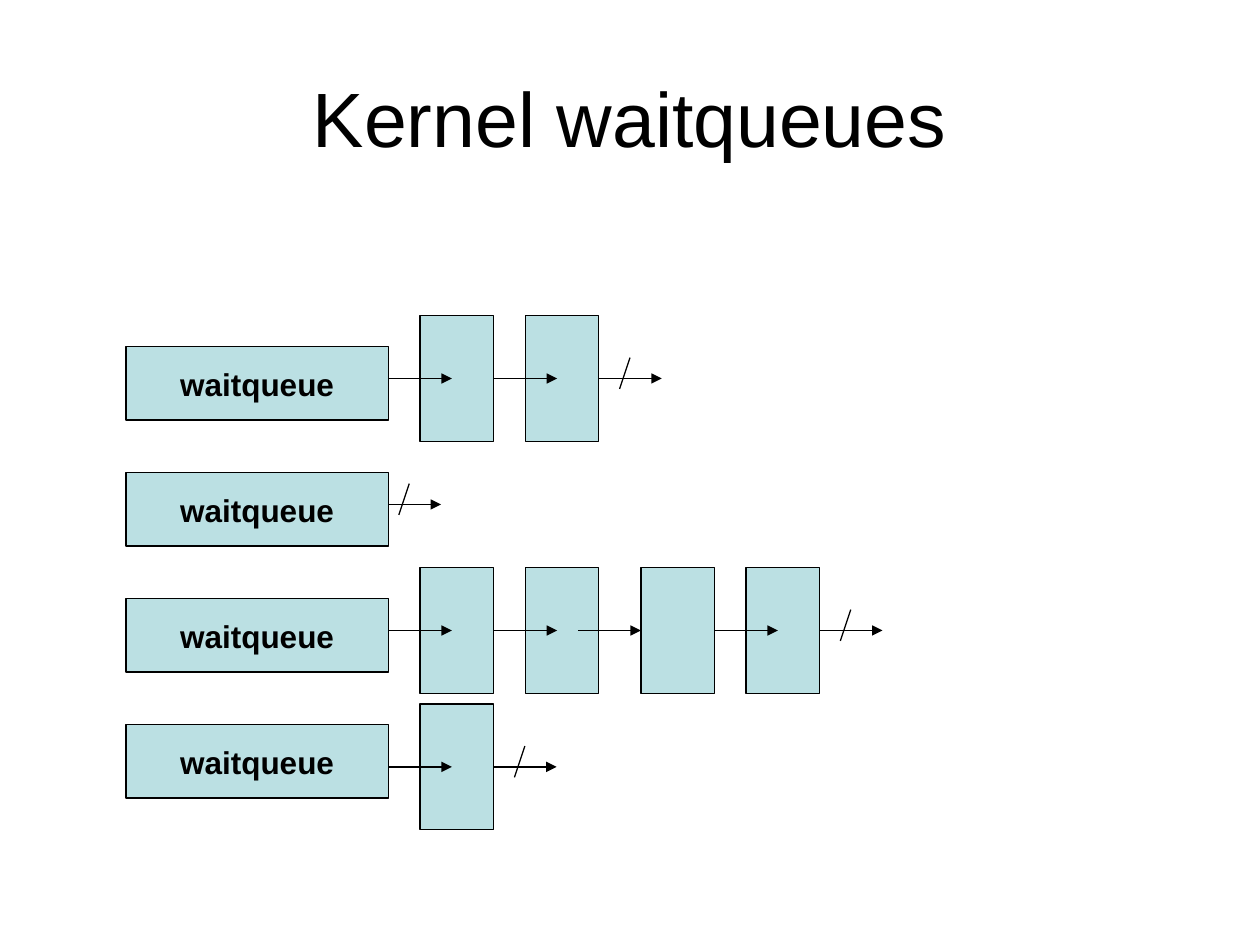
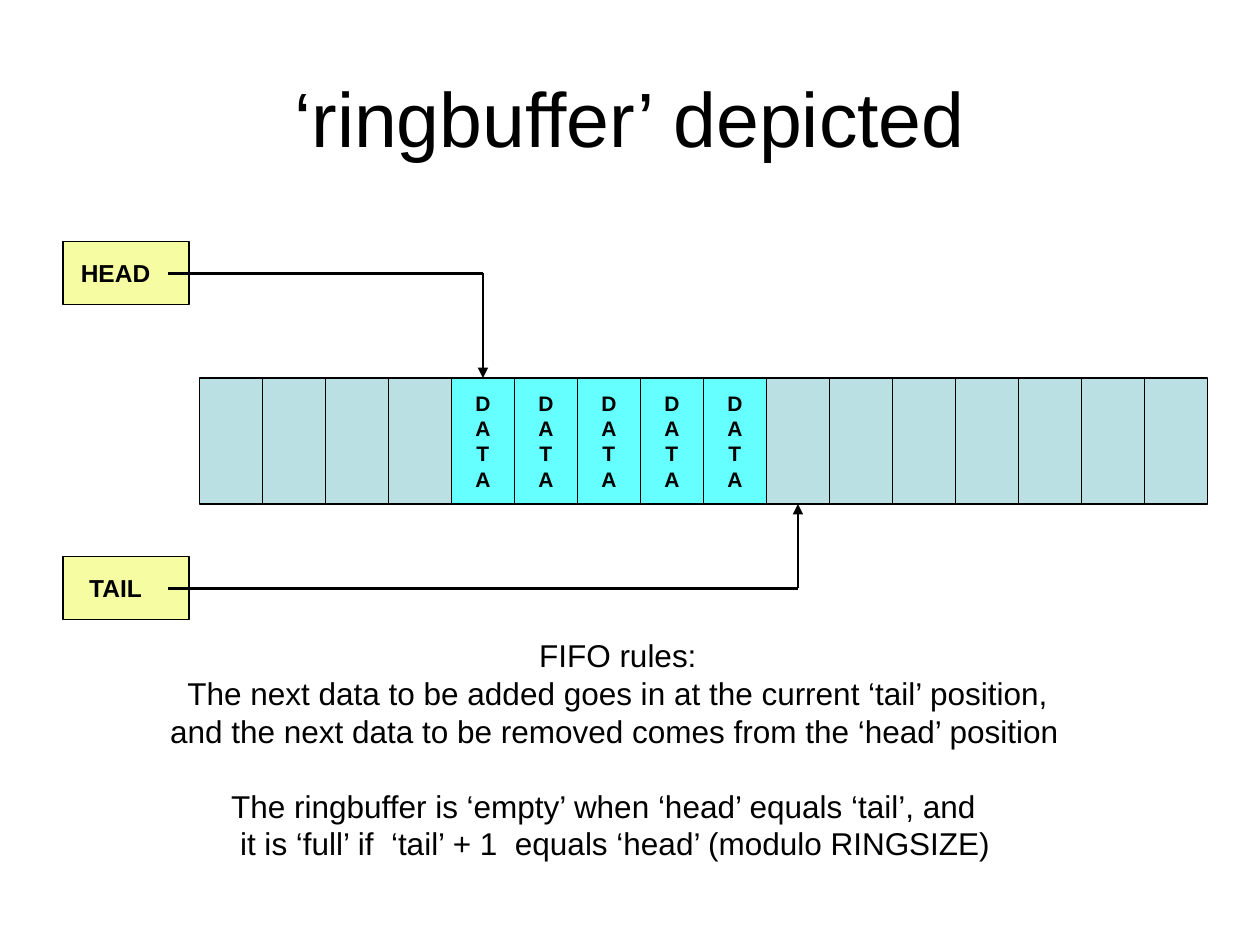
import pptx
import pptx.dml.color
import pptx.enum.shapes
import pptx.enum.text
import pptx.oxml
import pptx.oxml.ns
import pptx.util

Cm = pptx.util.Cm
Pt = pptx.util.Pt
ALIGN = pptx.enum.text.PP_ALIGN
ANCHOR = pptx.enum.text.MSO_ANCHOR

FONT = "Arial"
BLACK = "000000"
PALE_BLUE = "BBE0E3"
CYAN = "66FFFF"
YELLOW = "F6FCA2"

LABEL_W, LABEL_H = 5.29, 1.48
NODE_W, NODE_H = 1.48, 2.54
ARROW = 1.27
# Gap before each node, and how far the arrow reaches into it
NEAR, FAR = (0.64, 0.64), (0.85, 0)

CELL_W, CELL_H = 1.27, 2.54
CELLS, HEAD, TAIL = 16, 4, 9

# Text, left indent and space before (points) of each line
RULES = [
    ("FIFO rules:", 7.62, 0),
    ("The next data to be added goes in at the current ‘tail’ position,", 0.53, 0),
    ("and the next data to be removed comes from the ‘head’ position", 0.18, 0),
    ("The ringbuffer is ‘empty’ when ‘head’ equals ‘tail’, and", 1.41, 21),
    ("it is ‘full’ if  ‘tail’ + 1  equals ‘head’ (modulo RINGSIZE)", 1.59, 0),
]


def rgb(value):
    return pptx.dml.color.RGBColor.from_string(value)


def write(p, text, size=18, bold=False, align=ALIGN.CENTER, indent=0, before=0):
    """Add formatted text to a paragraph."""
    p.alignment = align
    p.space_before = Pt(before)
    if indent:
        p._p.get_or_add_pPr().set("marL", str(Cm(indent)))
    r = p.add_run()
    r.text = text
    r.font.name, r.font.size, r.font.bold = FONT, Pt(size), bold
    r.font.color.rgb = rgb(BLACK)


def frame(sp, anchor=ANCHOR.MIDDLE, right=0.25):
    """Set wrapping, anchor and insets, and return the text frame."""
    tf = sp.text_frame
    tf.word_wrap = True
    tf.auto_size = pptx.enum.text.MSO_AUTO_SIZE.NONE
    tf.vertical_anchor = anchor
    tf.margin_left, tf.margin_right = Cm(0.25), Cm(right)
    tf.margin_top = tf.margin_bottom = Cm(0.13)
    return tf


def lines(tf, texts, **fmt):
    for i, text in enumerate(texts):
        write(tf.add_paragraph() if i else tf.paragraphs[0], text, **fmt)


def box(s, x, y, w, h, fill=PALE_BLUE):
    sp = s.shapes.add_shape(pptx.enum.shapes.MSO_SHAPE.RECTANGLE,
                            Cm(x), Cm(y), Cm(w), Cm(h))
    sp.shadow.inherit = False
    sp.fill.solid()
    sp.fill.fore_color.rgb = rgb(fill)
    sp.line.color.rgb = rgb(BLACK)
    sp.line.width = Pt(0.75)
    return sp


def line(s, x1, y1, x2, y2, width=0.75, arrow=False):
    c = s.shapes.add_connector(pptx.enum.shapes.MSO_CONNECTOR.STRAIGHT,
                               Cm(x1), Cm(y1), Cm(x2), Cm(y2))
    c.line.color.rgb = rgb(BLACK)
    c.line.width = Pt(width)
    if arrow:
        ln = c.line._get_or_add_ln()
        ln.append(pptx.oxml.parse_xml(
            f'<a:tailEnd {pptx.oxml.ns.nsdecls("a")} type="triangle"/>'))
    c._element.spPr.append(pptx.oxml.parse_xml(
        f'<a:effectLst {pptx.oxml.ns.nsdecls("a")}/>'))


def titled_slide(prs, title):
    s = prs.slides.add_slide(prs.slide_layouts[5])
    sp = s.shapes.title
    sp.left, sp.top, sp.width, sp.height = Cm(1.27), Cm(0.76), Cm(22.86), Cm(3.18)
    lines(frame(sp), [title], size=44)
    return s


def queue(s, x, y, nodes, axis=0.64, last=ARROW):
    """Draw a labelled queue, its linked nodes and the struck-out end arrow."""
    lines(frame(box(s, x, y, LABEL_W, LABEL_H)), ["waitqueue"], bold=True)
    mid, right = y + axis, x + LABEL_W
    for gap, reach in nodes:
        left = right + gap
        box(s, left, mid - NODE_H / 2, NODE_W, NODE_H)
        tip = left + reach
        line(s, tip - ARROW, mid, tip, mid, arrow=True)
        right = left + NODE_W
    tip = right + last
    line(s, right, mid, tip, mid, arrow=True)
    line(s, tip - 0.64, mid - 0.42, tip - 0.85, mid + 0.21)


def waitqueues_slide(prs):
    s = titled_slide(prs, "Kernel waitqueues")
    rows = [
        dict(nodes=[NEAR, NEAR]),
        dict(nodes=[], last=1.06),
        dict(nodes=[NEAR, NEAR, FAR, NEAR]),
        dict(nodes=[NEAR], axis=0.85),
    ]
    for i, row in enumerate(rows):
        queue(s, 2.54, 6.99 + i * 2.54, **row)


def ring(s, x, y):
    for i in range(CELLS):
        full = HEAD <= i < TAIL
        sp = box(s, x + i * CELL_W, y, CELL_W, CELL_H, CYAN if full else PALE_BLUE)
        if full:
            lines(frame(sp), "DATA", size=12, bold=True)


def pointer(s, x, y, name, target_x, target_y):
    """Draw a named box with an elbow arrow to its cell."""
    sp = box(s, x, y, 2.54, 1.27, YELLOW)
    lines(frame(sp, right=0.67), [name], size=14, bold=True)
    mid = y + 0.64
    line(s, x + 2.12, mid, target_x, mid, width=1.5)
    line(s, target_x, mid, target_x, target_y, width=1.5, arrow=True)


def fifo_rules(s, x, y, w, h):
    sp = s.shapes.add_textbox(Cm(x), Cm(y), Cm(w), Cm(h))
    tf = frame(sp, anchor=ANCHOR.TOP, right=0)
    for i, (text, indent, before) in enumerate(RULES):
        write(tf.add_paragraph() if i else tf.paragraphs[0], text,
              align=ALIGN.LEFT, indent=indent, before=before)


def ringbuffer_slide(prs):
    s = titled_slide(prs, "‘ringbuffer’ depicted")
    x, y = 4.02, 7.62
    ring(s, x, y)
    pointer(s, 1.27, 4.87, "HEAD", x + (HEAD + 0.5) * CELL_W, y)
    pointer(s, 1.27, 11.22, "TAIL", x + (TAIL + 0.5) * CELL_W, y + CELL_H)
    fifo_rules(s, 3, 12.7, 18.54, 5.59)


def main():
    prs = pptx.Presentation()
    prs.slide_width, prs.slide_height = Cm(25.4), Cm(19.05)
    waitqueues_slide(prs)
    ringbuffer_slide(prs)
    prs.save("out.pptx")


if __name__ == "__main__":
    main()
